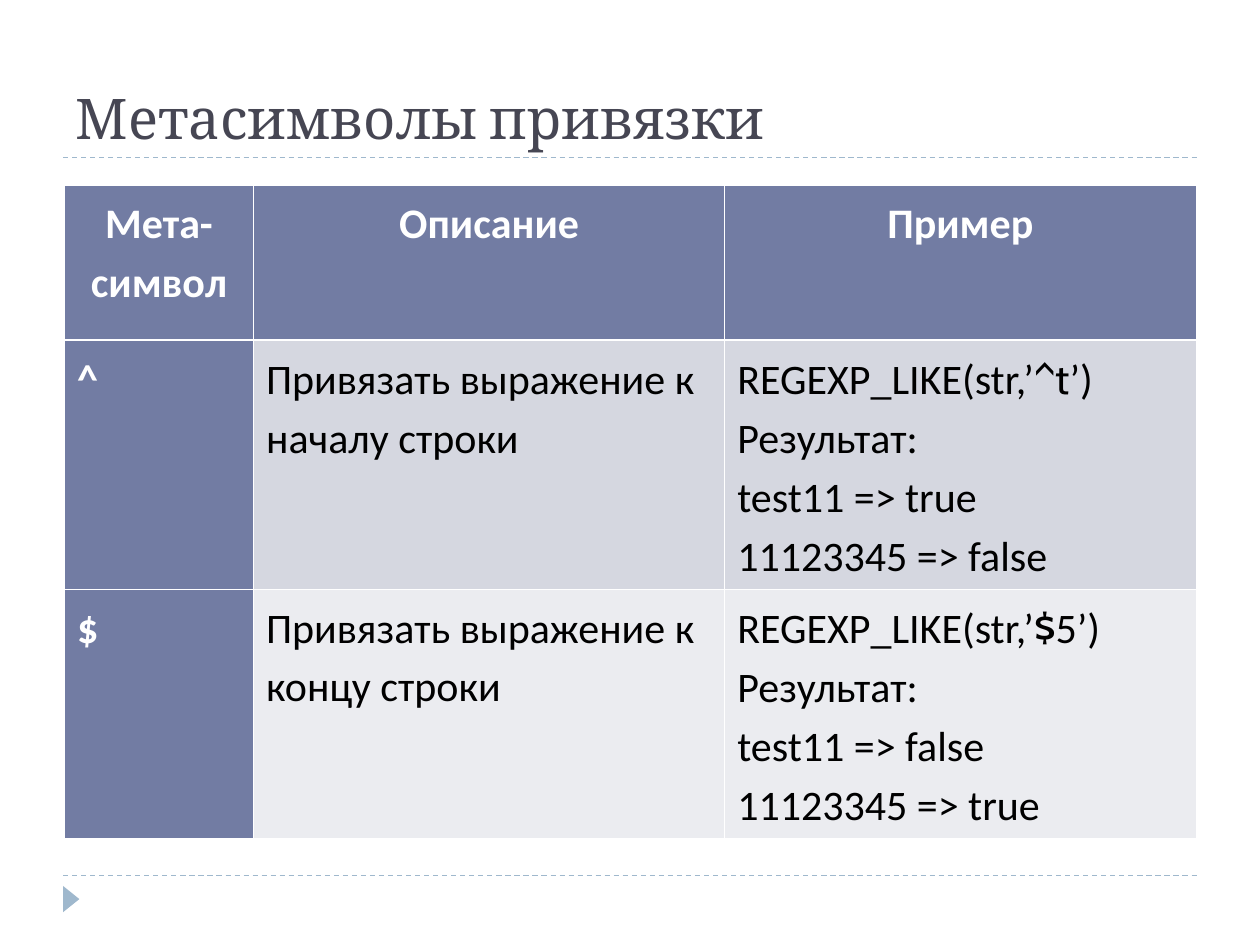
import dataclasses
import typing

import lxml.etree
import pptx
import pptx.dml.color
import pptx.enum.dml
import pptx.enum.shapes
import pptx.enum.text
import pptx.oxml.ns
import pptx.util

Cm = pptx.util.Cm
Pt = pptx.util.Pt
qn = pptx.oxml.ns.qn


@dataclasses.dataclass(frozen=True)
class Theme:
    title_ink: str = "464653"
    ink: str = "000000"
    white: str = "FFFFFF"
    header: str = "727CA3"
    bands: tuple[str, ...] = ("D5D7E0", "EBECF0")
    accent: str = "9FB8CD"
    title_font: str = "Cambria"
    body_font: str = "Calibri"
    pattern_font: str = "Cabin"
    title_size: float = 32
    body_size: float = 24
    thin_border: float = 0.45
    header_border: float = 1.47


class Piece(typing.NamedTuple):
    text: str
    font: str


class Anchor(typing.NamedTuple):
    symbol: str
    description: str
    example: tuple[Piece, ...]


THEME = Theme()
HEADINGS = ("Мета-символ", "Описание", "Пример")
ANCHORS = (
    Anchor("^", "Привязать выражение к началу строки", (
        Piece("REGEXP_LIKE(str,’", THEME.body_font),
        Piece("^t", THEME.pattern_font),
        Piece("’)\nРезультат:\ntest11 => true\n11123345 => false", THEME.body_font),
    )),
    Anchor("$", "Привязать выражение к концу строки", (
        Piece("REGEXP_LIKE(str,’", THEME.body_font),
        Piece("$", THEME.pattern_font),
        Piece("5’)\nРезультат:\ntest11 => false\n11123345 => true", THEME.body_font),
    )),
)
COLUMN_WIDTHS = (Cm(3.81), Cm(9.5), Cm(9.5))
ROW_HEIGHTS = (Cm(3.13), Cm(4.83), Cm(4.83))
MARGIN = Cm(1.27)
CONTENT_WIDTH = Cm(22.86)


def rgb(colour: str) -> pptx.dml.color.RGBColor:
    return pptx.dml.color.RGBColor.from_string(colour)


def format_run(run, font: str, size: float, colour: str, bold: bool = False) -> None:
    run.font.name = font
    run.font.size = Pt(size)
    run.font.bold = bold
    run.font.color.rgb = rgb(colour)


def draw_title(slide, wording: str) -> None:
    title = slide.shapes.title
    title.left, title.top = MARGIN, Cm(0.43)
    title.width, title.height = CONTENT_WIDTH, Cm(2.74)
    frame = title.text_frame
    frame.text = wording
    frame.auto_size = pptx.enum.text.MSO_AUTO_SIZE.NONE
    frame.vertical_anchor = pptx.enum.text.MSO_ANCHOR.BOTTOM
    paragraph = frame.paragraphs[0]
    paragraph.alignment = pptx.enum.text.PP_ALIGN.LEFT
    format_run(paragraph.runs[0], THEME.title_font, THEME.title_size, THEME.title_ink)


def draw_rule(slide, y: int) -> None:
    rule = slide.shapes.add_connector(
        pptx.enum.shapes.MSO_CONNECTOR.STRAIGHT, MARGIN, y, MARGIN + CONTENT_WIDTH, y)
    rule.line.color.rgb = rgb(THEME.accent)
    rule.line.width = Pt(0.75)
    rule.line.dash_style = pptx.enum.dml.MSO_LINE.DASH
    lxml.etree.SubElement(rule._element.spPr, qn("a:effectLst"))


def draw_page_marker(slide) -> None:
    marker = slide.shapes.add_shape(
        pptx.enum.shapes.MSO_SHAPE.ISOSCELES_TRIANGLE,
        Cm(1.17), Cm(17.96), Cm(0.53), Cm(0.33))
    marker.rotation = 90
    marker.shadow.inherit = False
    marker.fill.solid()
    marker.fill.fore_color.rgb = rgb(THEME.accent)
    marker.line.fill.background()


def set_borders(cell, top: float, bottom: float) -> None:
    """Give the cell white borders, thin at the sides."""
    properties = cell._tc.get_or_add_tcPr()
    widths = {"L": THEME.thin_border, "R": THEME.thin_border, "T": top, "B": bottom}
    for side, width in widths.items():
        border = lxml.etree.SubElement(
            properties, qn(f"a:ln{side}"), w=str(int(Pt(width))))
        fill = lxml.etree.SubElement(border, qn("a:solidFill"))
        lxml.etree.SubElement(fill, qn("a:srgbClr"), val=THEME.white)


def fill_cell(cell, pieces: typing.Iterable[Piece], fill: str,
              heading: bool, emphasised: bool) -> None:
    cell.fill.solid()
    cell.fill.fore_color.rgb = rgb(fill)
    paragraph = cell.text_frame.paragraphs[0]
    paragraph.line_spacing = 1.15
    paragraph.space_after = Pt(10)
    align = pptx.enum.text.PP_ALIGN
    paragraph.alignment = align.CENTER if heading else align.LEFT
    colour = THEME.white if emphasised else THEME.ink
    for piece in pieces:
        for number, line in enumerate(piece.text.split("\n")):
            if number:
                paragraph.add_line_break()
            run = paragraph.add_run()
            run.text = line
            format_run(run, piece.font, THEME.body_size, colour, emphasised)


def draw_table(slide) -> None:
    rows = [[(Piece(heading, THEME.body_font),) for heading in HEADINGS]]
    for anchor in ANCHORS:
        rows.append([(Piece(anchor.symbol, THEME.body_font),),
                     (Piece(anchor.description, THEME.body_font),),
                     anchor.example])
    table = slide.shapes.add_table(
        len(rows), len(HEADINGS), Cm(1.3), Cm(3.73),
        sum(COLUMN_WIDTHS), sum(ROW_HEIGHTS)).table
    for column, width in zip(table.columns, COLUMN_WIDTHS):
        column.width = width
    for row, height in zip(table.rows, ROW_HEIGHTS):
        row.height = height
    for r, row in enumerate(rows):
        for c, pieces in enumerate(row):
            heading = r == 0
            emphasised = heading or c == 0
            cell = table.cell(r, c)
            set_borders(cell,
                        top=THEME.header_border if r == 1 else THEME.thin_border,
                        bottom=THEME.header_border if heading else THEME.thin_border)
            fill = THEME.header if emphasised else THEME.bands[(r - 1) % 2]
            fill_cell(cell, pieces, fill, heading, emphasised)


def main() -> None:
    presentation = pptx.Presentation()
    presentation.slide_width, presentation.slide_height = Cm(25.4), Cm(19.05)
    title_only = presentation.slide_layouts[5]
    slide = presentation.slides.add_slide(title_only)
    for y in (Cm(17.65), Cm(3.17)):
        draw_rule(slide, y)
    draw_page_marker(slide)
    draw_title(slide, "Метасимволы привязки")
    draw_table(slide)
    presentation.save("out.pptx")


if __name__ == "__main__":
    main()
